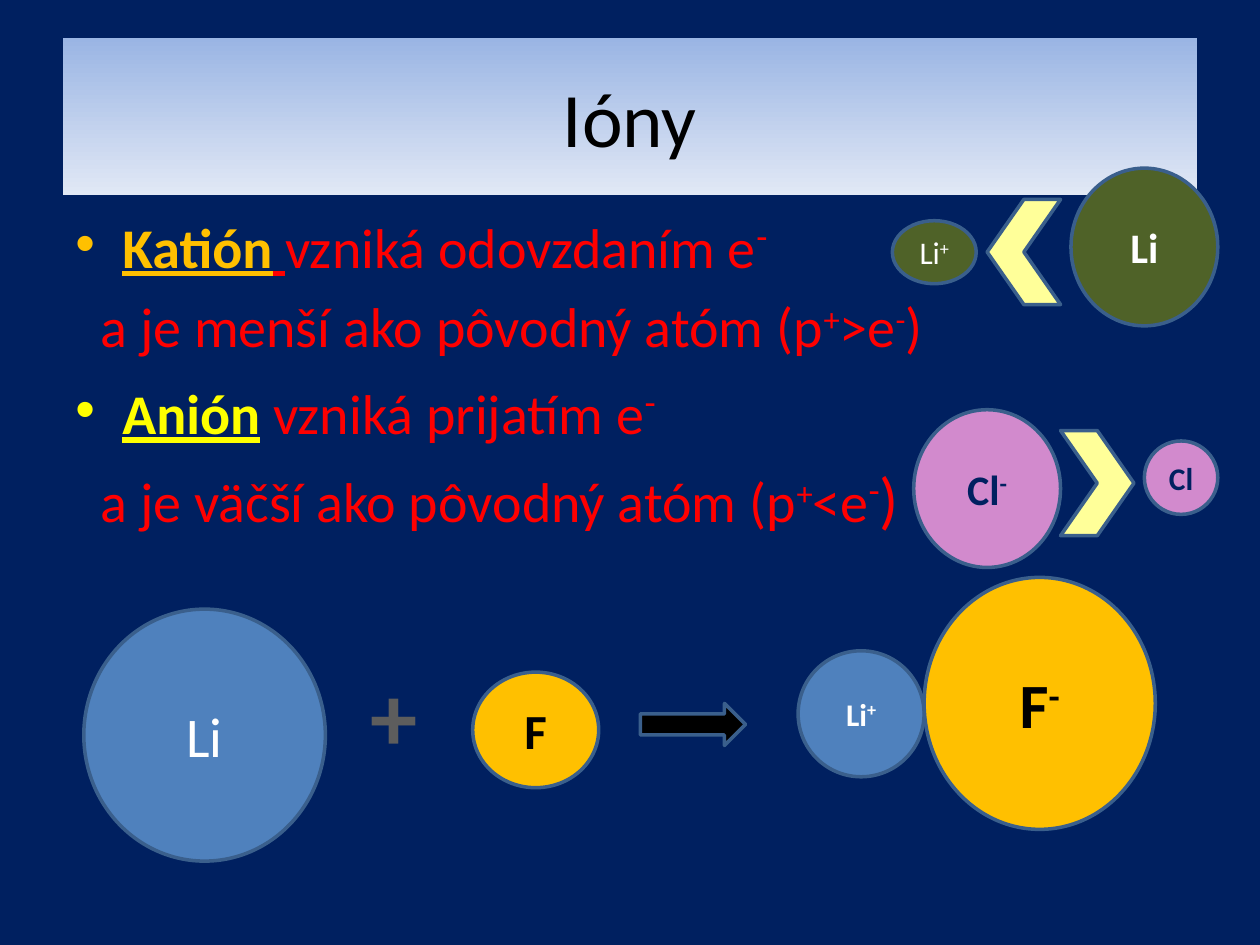
from pptx import Presentation
from pptx.dml.color import RGBColor
from pptx.enum.shapes import MSO_SHAPE as Shape
from pptx.enum.text import MSO_ANCHOR as Anchor, PP_ALIGN as Align
from pptx.oxml.ns import qn
from pptx.util import Cm, Pt

FONT = "Calibri"
COLORS = {
    "navy": "002060", "black": "000000", "white": "FFFFFF", "red": "FF0000",
    "orange": "FFC000", "yellow": "FFFF00", "blue": "4F81BD", "outline": "3A5F8C",
    "olive": "4F6228", "pink": "D28ACD", "cream": "FFFF99", "gray": "5D5D5D",
    "title_top": "9AB5E4", "title_bottom": "E1E8F5",
}

TITLE = "Ióny"

# Each line: bulleted, space before (pt), runs of (text, format)
KEY = {"bold": True, "underline": True}
SUP = {"sup": True}
BIG_SUP = {"sup": True, "size": 36}
LINES = [
    (True, 0, [("Katión", {**KEY, "color": "orange"}), (" ", KEY),
               ("vzniká odovzdaním e", {}), ("-", BIG_SUP)]),
    (False, 6.4, [("a je menší ako pôvodný atóm (p", {}), ("+", SUP), (">e", {}),
                  ("-", SUP), (")", {})]),
    (True, 7, [("Anión", {**KEY, "color": "yellow"}), (" vzniká prijatím e", {}),
               ("-", BIG_SUP)]),
    (False, 7, [("a je väčší ako pôvodný atóm (p", {}), ("+", SUP), ("<e", {}),
                ("-", BIG_SUP), (")", {"size": 36})]),
]

# Each particle: box in cm, fill, symbol, charge, text size, text colour, bold
PARTICLES = [
    ((9.53, 13.55, 2.54, 2.33), "orange", "F", "", 28, "black", True),
    ((16.09, 13.12, 2.54, 2.54), "blue", "Li", "+", 18, "white", True),
    ((1.69, 12.28, 4.87, 5.08), "blue", "Li", "", 32, "white", False),
    ((18.63, 11.64, 4.66, 5.08), "orange", "F", "-", 36, "black", True),
    ((17.99, 4.45, 1.69, 1.27), "olive", "Li", "+", 18, "white", False),
    ((21.59, 3.39, 2.96, 3.18), "olive", "Li", "", 24, "white", True),
    ((18.42, 8.26, 2.96, 3.18), "pink", "Cl", "-", 24, "navy", True),
    ((23.07, 8.89, 1.48, 1.48), "pink", "Cl", "", 18, "navy", True),
]

# Each arrow: preset, box in cm, fill, rotation
ARROWS = [
    (Shape.RIGHT_ARROW, (12.91, 14.18, 2.12, 0.85), "black", 0),
    (Shape.CHEVRON, (19.9, 4.02, 1.48, 2.12), "cream", 180),
    (Shape.CHEVRON, (21.38, 8.68, 1.48, 2.12), "cream", 0),
]


def rgb(name):
    return RGBColor.from_string(COLORS[name])


def box(values):
    return [Cm(v) for v in values]


def add_run(p, text, size=32, color="red", bold=False, underline=False, sup=False):
    r = p.add_run()
    r.text = text
    f = r.font
    f.name, f.size, f.bold, f.underline = FONT, Pt(size), bold, underline
    f.color.rgb = rgb(color)
    if sup:
        r._r.get_or_add_rPr().set("baseline", "30000")


def set_indent(p, bulleted):
    """Hang a bullet in the bullet's colour, or indent a continuation line."""
    pPr = p._p.get_or_add_pPr()
    left, first = (Cm(0.95), Cm(-0.95)) if bulleted else (Cm(0.51), 0)
    pPr.set("marL", str(left))
    pPr.set("indent", str(first))
    if bulleted:
        font = pPr.makeelement(qn("a:buFont"), {"typeface": "Arial"})
        char = pPr.makeelement(qn("a:buChar"), {"char": "•"})
        pPr.extend([font, char])


def add_figure(slide, preset, place, fill, rotation=0):
    sp = slide.shapes.add_shape(preset, *box(place))
    sp.shadow.inherit = False
    sp.fill.solid()
    sp.fill.fore_color.rgb = rgb(fill)
    sp.line.color.rgb = rgb("outline")
    sp.line.width = Pt(2)
    sp.rotation = rotation
    return sp


def add_title(slide):
    sp = slide.shapes.title
    sp.left, sp.top, sp.width, sp.height = box((1.27, 0.76, 22.86, 3.18))
    sp.fill.gradient()
    sp.fill.gradient_angle = 270
    for stop, name in zip(sp.fill.gradient_stops, ("title_top", "title_bottom")):
        stop.color.rgb = rgb(name)
    sp.text_frame.vertical_anchor = Anchor.MIDDLE
    p = sp.text_frame.paragraphs[0]
    p.alignment = Align.CENTER
    add_run(p, TITLE, size=44, color="black")


def add_body(slide):
    tf = slide.shapes.add_textbox(*box((1.27, 4.01, 22.86, 12.57))).text_frame
    tf.word_wrap = True
    for i, (bulleted, before, runs) in enumerate(LINES):
        p = tf.add_paragraph() if i else tf.paragraphs[0]
        p.space_before = Pt(before)
        set_indent(p, bulleted)
        for text, style in runs:
            add_run(p, text, **style)


def add_particle(slide, place, fill, symbol, charge, size, color, bold):
    tf = add_figure(slide, Shape.OVAL, place, fill).text_frame
    tf.word_wrap = False
    tf.vertical_anchor = Anchor.MIDDLE
    p = tf.paragraphs[0]
    p.alignment = Align.CENTER
    add_run(p, symbol, size=size, color=color, bold=bold)
    if charge:
        add_run(p, charge, size=size, color=color, bold=bold, sup=True)


def add_plus(slide):
    tf = slide.shapes.add_textbox(*box((7.2, 13.12, 1.47, 2.57))).text_frame
    tf.word_wrap = False
    p = tf.paragraphs[0]
    p.alignment = Align.CENTER
    add_run(p, "+", size=54, color="gray", bold=True)


def main():
    prs = Presentation()
    prs.slide_width, prs.slide_height = Cm(25.4), Cm(19.05)
    slide = prs.slides.add_slide(prs.slide_layouts[5])
    slide.background.fill.solid()
    slide.background.fill.fore_color.rgb = rgb("navy")
    add_title(slide)
    add_body(slide)
    for particle in PARTICLES:
        add_particle(slide, *particle)
    add_plus(slide)
    for arrow in ARROWS:
        add_figure(slide, *arrow)
    prs.save("out.pptx")


if __name__ == "__main__":
    main()
